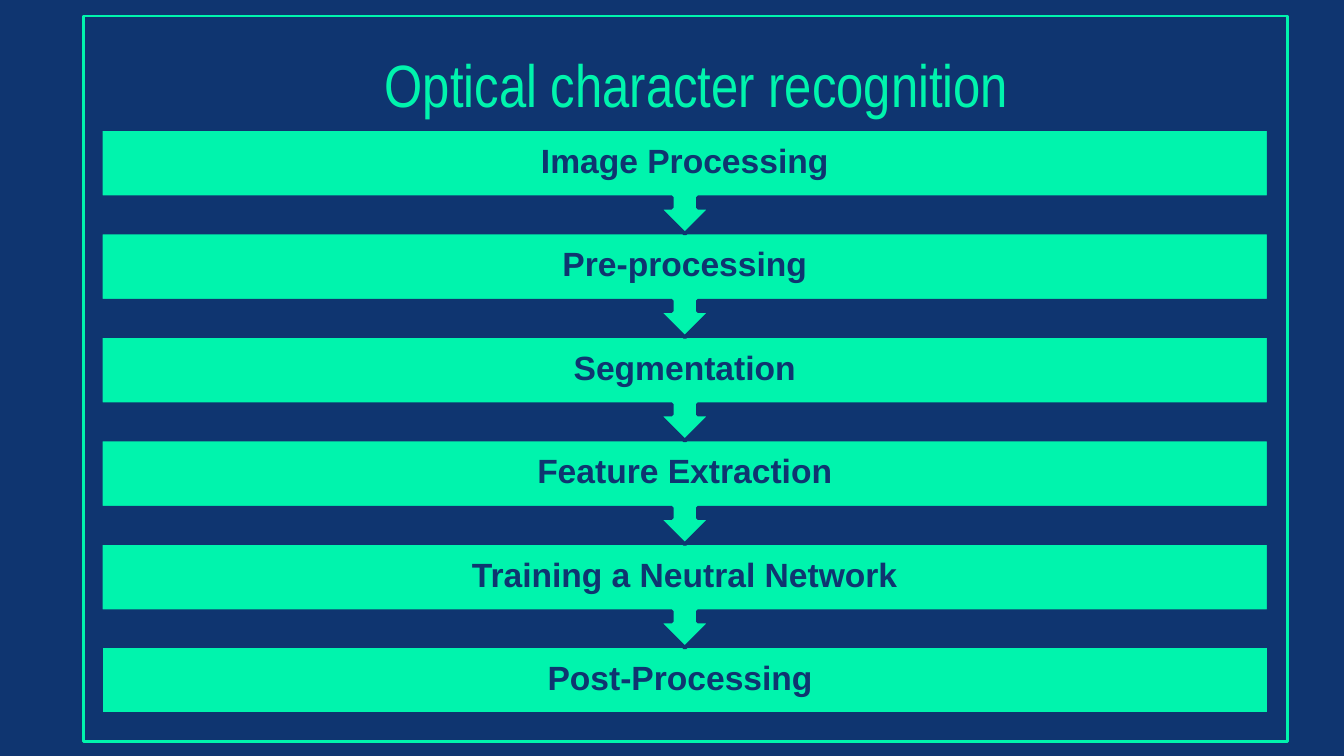
from pptx import Presentation
from pptx.dml.color import RGBColor
from pptx.enum.shapes import MSO_SHAPE
from pptx.enum.text import MSO_ANCHOR, PP_ALIGN
from pptx.util import Inches, Pt

RECTANGLE = MSO_SHAPE.RECTANGLE
CALLOUT = MSO_SHAPE.UP_ARROW_CALLOUT
MIDDLE = MSO_ANCHOR.MIDDLE
CENTER = PP_ALIGN.CENTER

COLORS = {"navy": "0F3570", "mint": "00F4AD"}
STEPS = [
    "Image Processing",
    "Pre-processing",
    "Segmentation",
    "Feature Extraction",
    "Training a Neutral Network",
    "Post-Processing ",
]
STEP_PITCH = 0.77
CALLOUT_HEIGHT = 0.78
BAR_HEIGHT = 0.5


def color(name):
    """Return the named palette colour."""
    return RGBColor.from_string(COLORS[name])


def add_box(parent, kind, box, fill, line, weight):
    """Add an outlined preset shape, unfilled when fill is None."""
    shape = parent.shapes.add_shape(kind, *map(Inches, box))
    shape.shadow.inherit = False
    if fill:
        shape.fill.solid()
        shape.fill.fore_color.rgb = color(fill)
    else:
        shape.fill.background()
    shape.line.color.rgb = color(line)
    shape.line.width = Pt(weight)
    return shape


def add_text(parent, box, text, font, size, ink, bold=False):
    """Add a text box with one centred paragraph and return its frame."""
    frame = parent.shapes.add_textbox(*map(Inches, box)).text_frame
    frame.word_wrap = True
    para = frame.paragraphs[0]
    para.alignment = CENTER
    span = para.add_run()
    span.text = text
    span.font.name = font
    span.font.size = Pt(size)
    span.font.bold = bold
    span.font.color.rgb = color(ink)
    return frame


def add_label(parent, box, text):
    """Add the name of a step, centred on its bar."""
    frame = add_text(parent, box, text, "Arial", 18, "navy", bold=True)
    frame.vertical_anchor = MIDDLE
    frame.margin_left = frame.margin_right = Inches(0.14)
    frame.margin_top = frame.margin_bottom = Inches(0.14)
    frame.paragraphs[0].line_spacing = 0.9


def add_process(page, box, steps):
    """Stack the steps from the last up, so each arrow overlaps the next bar."""
    left, top, width = box
    group = page.shapes.add_group_shape()
    last = len(steps) - 1
    for index, step in reversed(list(enumerate(steps))):
        step_top = top + index * STEP_PITCH
        bar_box = (left, step_top, width, BAR_HEIGHT)
        if index == last:
            add_box(group, RECTANGLE, bar_box, "mint", "navy", 2)
        else:
            callout_box = (left, step_top, width, CALLOUT_HEIGHT)
            add_box(group, CALLOUT, callout_box, "mint", "navy", 2).rotation = 180
        add_label(group, bar_box, step)


def main():
    """Build and save the slide."""
    deck = Presentation()
    deck.slide_width = Inches(10)
    deck.slide_height = deck.slide_width * 9 // 16
    page = deck.slides.add_slide(deck.slide_layouts[6])
    page.background.fill.solid()
    page.background.fill.fore_color.rgb = color("navy")
    add_process(page, (0.75, 0.96, 8.69), STEPS)
    add_text(page, (1.26, 0.31, 7.85, 0.56), "Optical character recognition",
             "Arial Narrow", 32, "mint")
    add_box(page, RECTANGLE, (0.62, 0.12, 8.96, 5.4), None, "mint", 1.5)
    deck.save("out.pptx")


if __name__ == "__main__":
    main()
